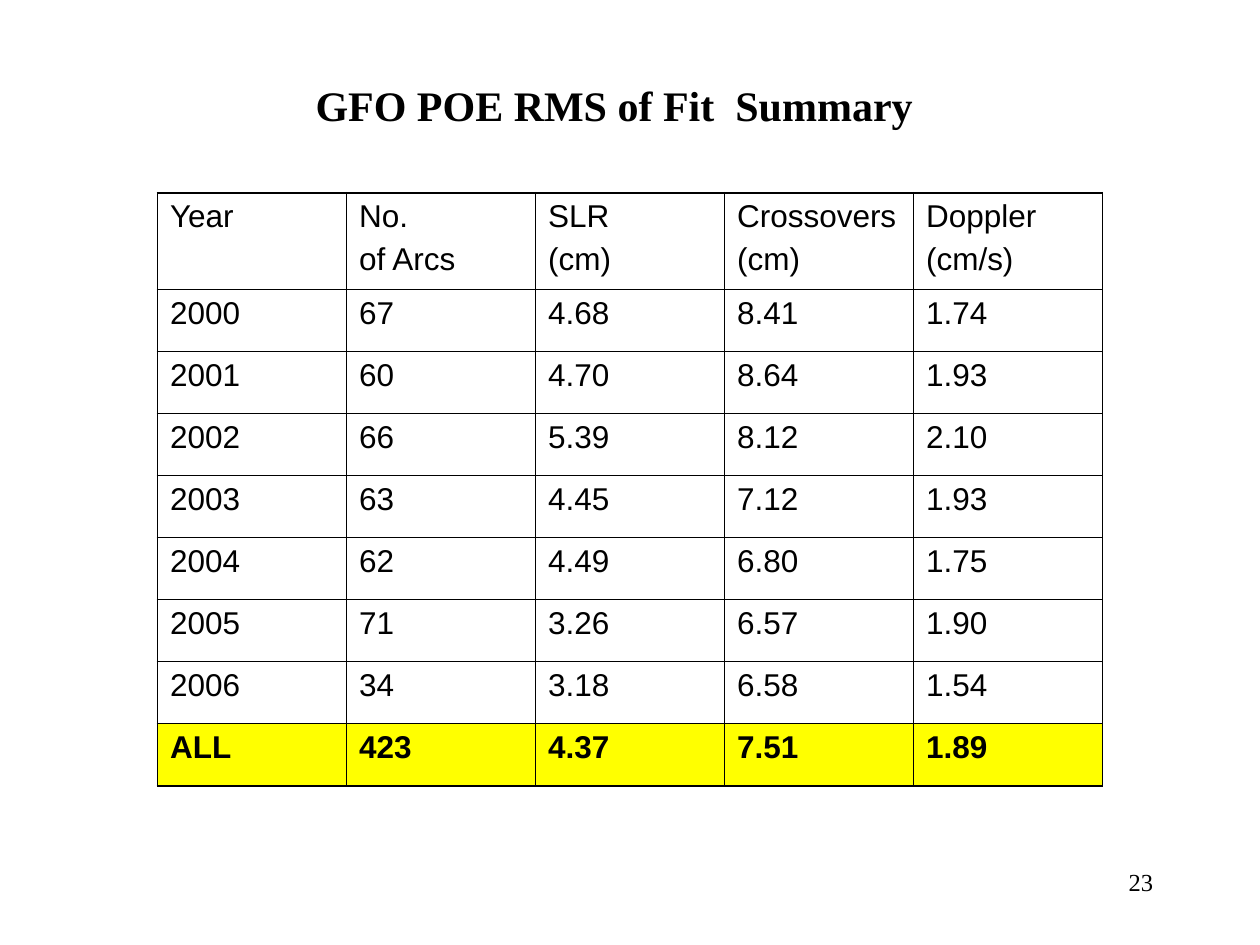
"""Build the GFO POE RMS of fit summary slide."""
import pptx
import pptx.dml.color
import pptx.enum.text
import pptx.oxml
import pptx.oxml.ns
import pptx.util

TITLE = "GFO POE RMS of Fit  Summary"
PAGE_NUMBER = "23"
ROWS = [
    ("Year", "No.\nof Arcs", "SLR\n(cm)", "Crossovers\n(cm)", "Doppler\n(cm/s)"),
    ("2000", "67", "4.68", "8.41", "1.74"),
    ("2001", "60", "4.70", "8.64", "1.93"),
    ("2002", "66", "5.39", "8.12", "2.10"),
    ("2003", "63", "4.45", "7.12", "1.93"),
    ("2004", "62", "4.49", "6.80", "1.75"),
    ("2005", "71", "3.26", "6.57", "1.90"),
    ("2006", "34", "3.18", "6.58", "1.54"),
    ("ALL", "423", "4.37", "7.51", "1.89"),
]
BLACK = "000000"
YELLOW = "FFFF00"
TITLE_BOX = (217, 58, 558, 50)
TABLE_BOX = (125, 153, 750, 471)
NUMBER_BOX = (717, 683, 208, 50)
HEADER_HEIGHT = 77
OUTER_LINE, INNER_LINE = 1.08, 0.45
PX = 9144


def px(length):
    return pptx.util.Emu(length * PX)


def color(value):
    return pptx.dml.color.RGBColor.from_string(value)


def style(paragraph, size, name, bold=False):
    for run in paragraph.runs:
        run.font.size = pptx.util.Pt(size)
        run.font.name = name
        run.font.bold = bold
        run.font.color.rgb = color(BLACK)


def fill_box(shape, text, box, alignment, size, bold=False, right_inset=10):
    shape.left, shape.top, shape.width, shape.height = map(px, box)
    frame = shape.text_frame
    frame.text = text
    frame.word_wrap = True
    frame.vertical_anchor = pptx.enum.text.MSO_ANCHOR.TOP
    frame.margin_left, frame.margin_right = px(10), px(right_inset)
    frame.margin_top = frame.margin_bottom = px(5)
    frame.paragraphs[0].alignment = alignment
    style(frame.paragraphs[0], size, "Times New Roman", bold)
    return frame


def add_border(cell, side, width):
    line = pptx.oxml.parse_xml(
        f'<a:{side} {pptx.oxml.ns.nsdecls("a")} w="{pptx.util.Pt(width)}">'
        f'<a:solidFill><a:srgbClr val="{BLACK}"/></a:solidFill></a:{side}>'
    )
    cell._tc.get_or_add_tcPr().append(line)


def fill_cell(cell, text, outer_sides, total):
    for side, outer in outer_sides.items():
        add_border(cell, side, OUTER_LINE if outer else INNER_LINE)
    if total:
        cell.fill.solid()
        cell.fill.fore_color.rgb = color(YELLOW)
    else:
        cell.fill.background()
    cell.margin_left = cell.margin_right = px(10)
    cell.margin_top = cell.margin_bottom = px(5)
    cell.text_frame.text = text
    for index, paragraph in enumerate(cell.text_frame.paragraphs):
        if index:
            paragraph.space_before = pptx.util.Pt(4.5)
        style(paragraph, 18, "Arial", total)


def add_summary_table(slide):
    last_row, last_column = len(ROWS) - 1, len(ROWS[0]) - 1
    frame = slide.shapes.add_table(len(ROWS), len(ROWS[0]), *map(px, TABLE_BOX))
    table = frame.table
    table.first_row = table.horz_banding = False
    for column in table.columns:
        column.width = px(TABLE_BOX[2] // len(ROWS[0]))
    for row_index, values in enumerate(ROWS):
        table.rows[row_index].height = (
            px(TABLE_BOX[3] - HEADER_HEIGHT) // last_row if row_index else px(HEADER_HEIGHT)
        )
        for column_index, text in enumerate(values):
            outer_sides = {
                "lnL": column_index == 0,
                "lnR": column_index == last_column,
                "lnT": row_index == 0,
                "lnB": row_index == last_row,
            }
            fill_cell(table.cell(row_index, column_index), text, outer_sides, row_index == last_row)


def main():
    presentation = pptx.Presentation()
    presentation.slide_width, presentation.slide_height = px(1000), px(750)
    slide = presentation.slides.add_slide(presentation.slide_layouts[5])
    align = pptx.enum.text.PP_ALIGN
    title_frame = fill_box(slide.shapes.title, TITLE, TITLE_BOX, align.CENTER, 24, True, 27)
    title_frame.auto_size = pptx.enum.text.MSO_AUTO_SIZE.SHAPE_TO_FIT_TEXT
    add_summary_table(slide)
    number = slide.shapes.add_textbox(*map(px, NUMBER_BOX))
    fill_box(number, PAGE_NUMBER, NUMBER_BOX, align.RIGHT, 14)
    presentation.save("out.pptx")


if __name__ == "__main__":
    main()
